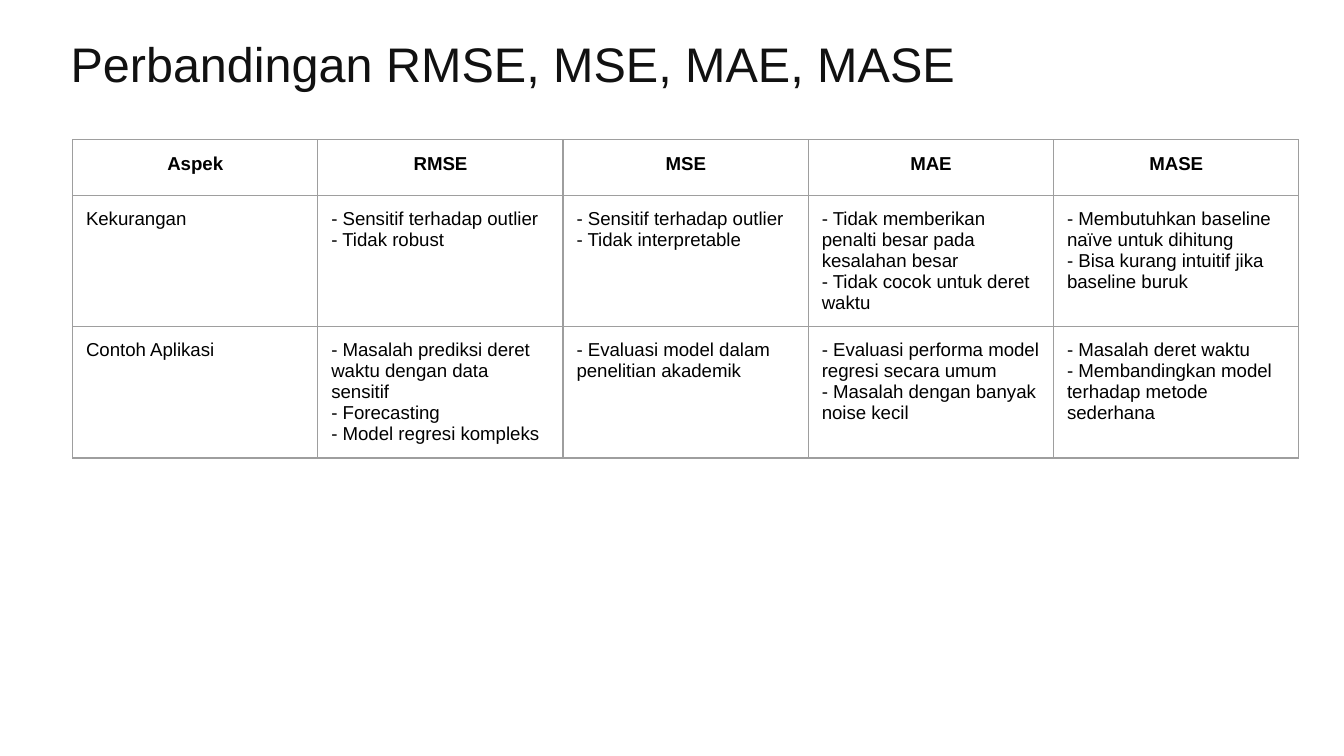
from dataclasses import dataclass

from lxml import etree
from pptx import Presentation
from pptx.dml.color import RGBColor
from pptx.enum.text import MSO_ANCHOR, PP_ALIGN
from pptx.oxml.ns import qn
from pptx.util import Pt

BOTTOM, TOP = MSO_ANCHOR.BOTTOM, MSO_ANCHOR.TOP
LEFT, CENTER = PP_ALIGN.LEFT, PP_ALIGN.CENTER
PX = 4572
TITLE_ONLY = 5


@dataclass(frozen=True)
class Theme:
    font: str = "Arial"
    title_size: int = 26
    cell_size: int = 10
    title_color: str = "111111"
    cell_color: str = "000000"
    border_color: str = "9E9E9E"
    border_width: float = 0.75
    inset: int = 20


THEME = Theme()

METRICS = [
    ["Aspek", "RMSE", "MSE", "MAE", "MASE"],
    [
        "Kekurangan",
        "- Sensitif terhadap outlier\n- Tidak robust",
        "- Sensitif terhadap outlier\n- Tidak interpretable",
        "- Tidak memberikan penalti besar pada kesalahan besar\n"
        "- Tidak cocok untuk deret waktu",
        "- Membutuhkan baseline naïve untuk dihitung\n"
        "- Bisa kurang intuitif jika baseline buruk",
    ],
    [
        "Contoh Aplikasi",
        "- Masalah prediksi deret waktu dengan data sensitif\n"
        "- Forecasting\n- Model regresi kompleks",
        "- Evaluasi model dalam penelitian akademik",
        "- Evaluasi performa model regresi secara umum\n"
        "- Masalah dengan banyak noise kecil",
        "- Masalah deret waktu\n"
        "- Membandingkan model terhadap metode sederhana",
    ],
]


def px(length):
    return length * PX


def set_insets(holder):
    holder.margin_left = holder.margin_right = px(THEME.inset)
    holder.margin_top = holder.margin_bottom = px(THEME.inset)


def style_text(text_frame, size, color, bold=False, align=LEFT):
    for paragraph in text_frame.paragraphs:
        paragraph.alignment = align
        font = paragraph.font
        font.name, font.size, font.bold = THEME.font, Pt(size), bold
        font.color.rgb = RGBColor.from_string(color)


def add_borders(cell):
    properties = cell._tc.get_or_add_tcPr()
    for index, side in enumerate(("a:lnL", "a:lnR", "a:lnT", "a:lnB")):
        line = etree.Element(qn(side), w=str(Pt(THEME.border_width)))
        fill = etree.SubElement(line, qn("a:solidFill"))
        etree.SubElement(fill, qn("a:srgbClr"), val=THEME.border_color)
        properties.insert(index, line)


def place_title(slide, heading, left, top, width, height):
    title = slide.shapes.title
    title.left, title.top = px(left), px(top)
    title.width, title.height = px(width), px(height)
    frame = title.text_frame
    frame.text = heading
    frame.word_wrap = True
    frame.vertical_anchor = BOTTOM
    set_insets(frame)
    style_text(frame, THEME.title_size, THEME.title_color)


def place_comparison(slide, rows, left, top, width, row_height):
    columns = len(rows[0])
    table = slide.shapes.add_table(
        len(rows), columns, px(left), px(top), px(width), px(row_height * len(rows))
    ).table
    table.first_row = table.horz_banding = False
    for r, entries in enumerate(rows):
        is_header = r == 0
        for c, entry in enumerate(entries):
            cell = table.cell(r, c)
            cell.text = entry
            cell.vertical_anchor = TOP
            cell.fill.background()
            set_insets(cell)
            add_borders(cell)
            style_text(
                cell.text_frame,
                THEME.cell_size,
                THEME.cell_color,
                bold=is_header,
                align=CENTER if is_header else LEFT,
            )


def main():
    deck = Presentation()
    deck.slide_width, deck.slide_height = px(2000), px(1125)
    slide = deck.slides.add_slide(deck.slide_layouts[TITLE_ONLY])
    place_title(slide, "Perbandingan RMSE, MSE, MAE, MASE", 85, 31, 1790, 126)
    place_comparison(slide, METRICS, 108, 208, 1825, 83)
    deck.save("out.pptx")


if __name__ == "__main__":
    main()
